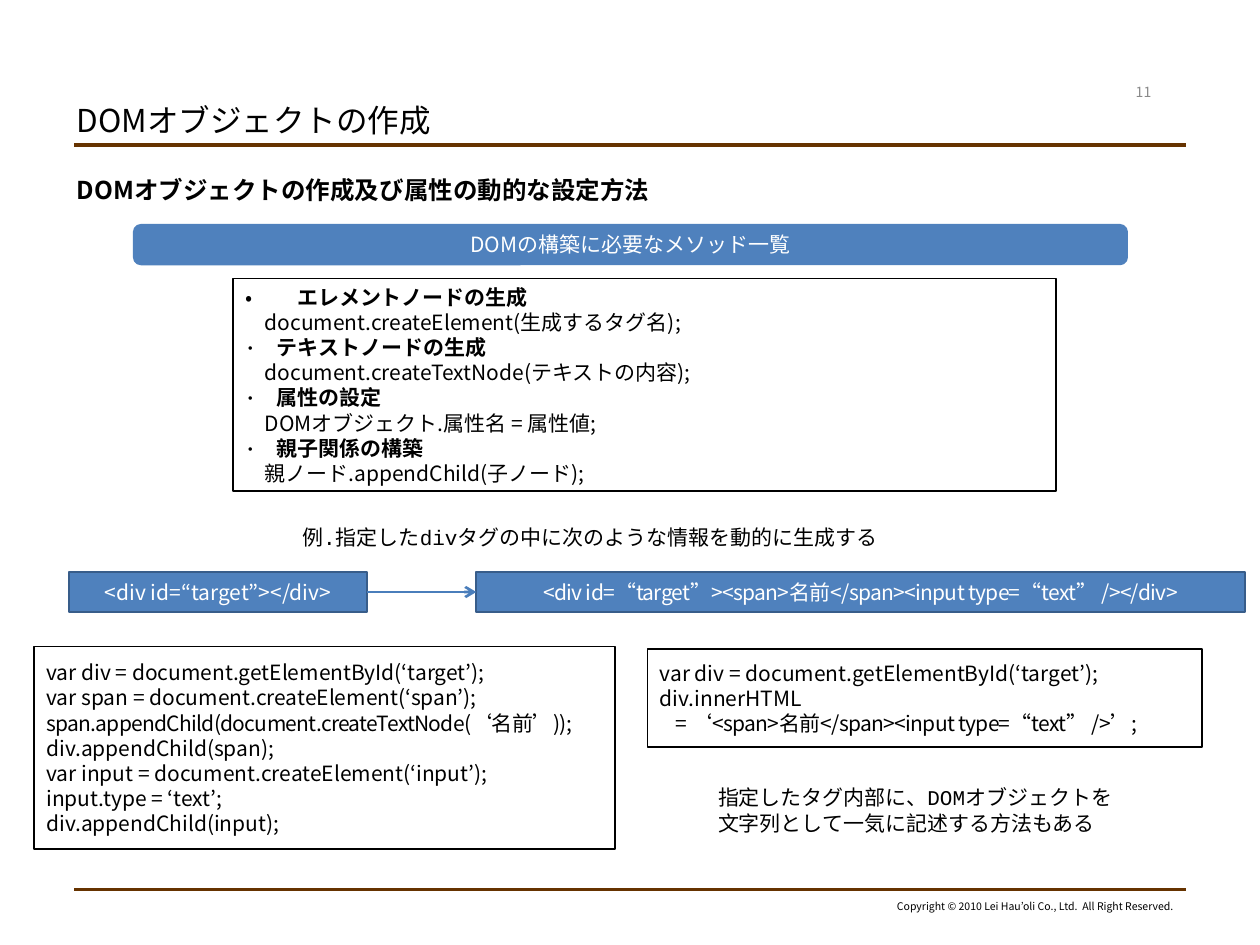
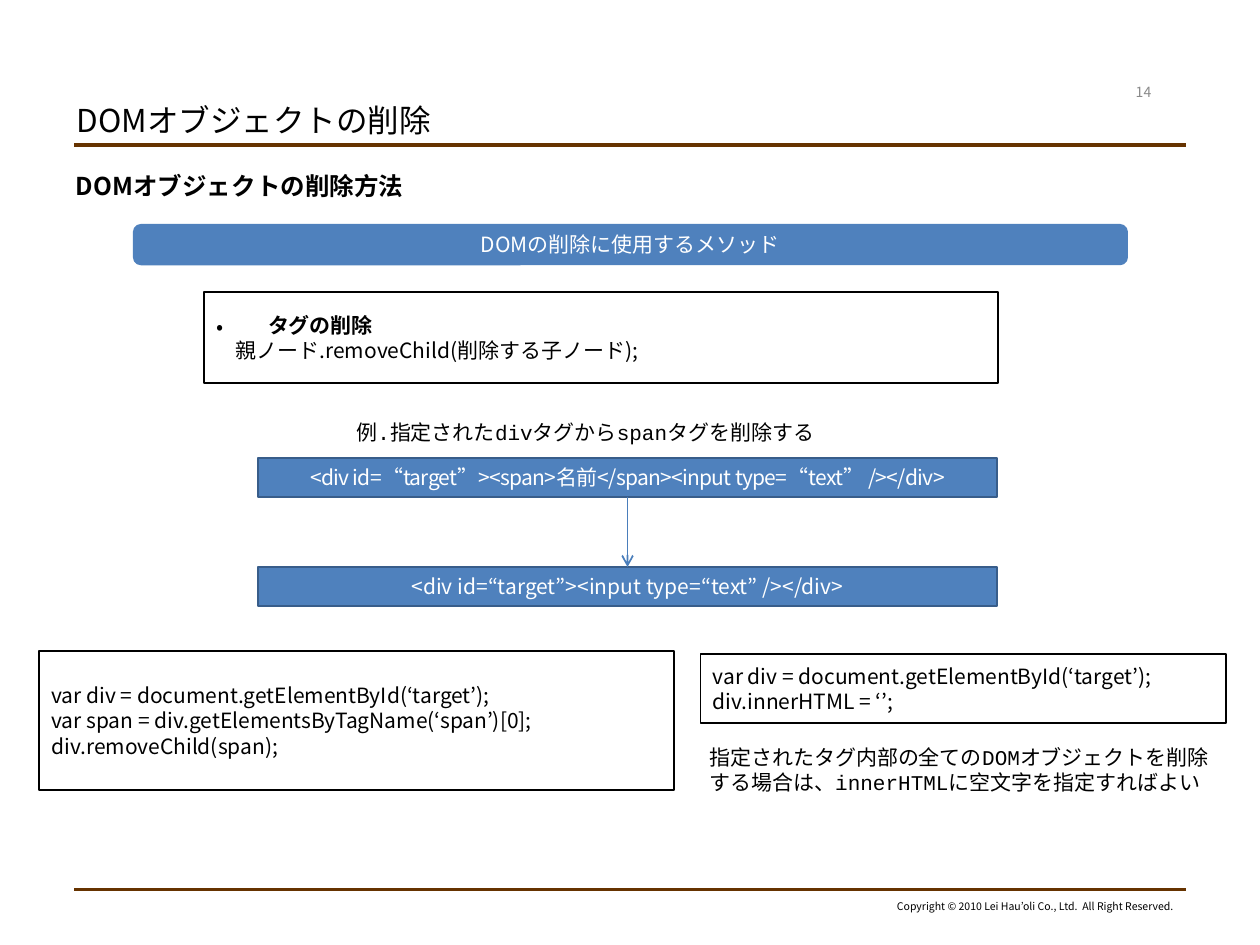
from dataclasses import dataclass

from lxml import etree
from pptx import Presentation
from pptx.dml.color import RGBColor
from pptx.enum import shapes, text
from pptx.oxml import ns
from pptx.util import Pt


@dataclass(frozen=True)
class Theme:
    font: str = "Noto Sans CJK JP"
    note_font: str = "Courier New"
    ink: str = "000000"
    paper: str = "FFFFFF"
    grey: str = "898989"
    rule: str = "663300"
    blue: str = "4F81BD"
    blue_edge: str = "385D8A"
    arrow: str = "4A7EBB"
    title_size: int = 18
    heading_size: int = 14
    body_size: int = 12
    page_size: int = 8
    copyright_size: int = 6
    leading: float = 1.2
    tight: int = -40  # letter spacing in hundredths of a point


THEME = Theme()
LEFT = text.PP_ALIGN.LEFT
CENTER = text.PP_ALIGN.CENTER
RIGHT = text.PP_ALIGN.RIGHT
TOP = text.MSO_ANCHOR.TOP
MIDDLE = text.MSO_ANCHOR.MIDDLE
COPYRIGHT = "Copyright © 2010 Lei Hau’oli Co., Ltd.  All Right Reserved."
NAME = "名前"


def add_child(parent, tag, **attributes):
    return etree.SubElement(parent, ns.qn(tag), attributes)


def indent(para, margin, bullet=None):
    """Indent a paragraph; a bullet hangs in the margin."""
    properties = para._p.get_or_add_pPr()
    properties.set("marL", str(Pt(margin)))
    if bullet:
        properties.set("indent", str(-Pt(margin)))
        add_child(properties, "a:buFont", typeface=THEME.font)
        add_child(properties, "a:buChar", char=bullet)


def write(shape, lines, size=THEME.body_size, color=THEME.ink, font=THEME.font,
          bold=False, align=LEFT, anchor=MIDDLE, wrap=True):
    """Fill a shape with one paragraph per line and return the paragraphs."""
    frame = shape.text_frame
    frame.word_wrap = wrap
    frame.auto_size = text.MSO_AUTO_SIZE.NONE
    frame.vertical_anchor = anchor
    for number, line in enumerate(lines):
        para = frame.paragraphs[0] if number == 0 else frame.add_paragraph()
        para.alignment = align
        para.line_spacing = Pt(size * THEME.leading)
        para.space_before = Pt(0)
        span = para.add_run()
        span.text = line
        span.font.size = Pt(size)
        span.font.bold = bold
        span.font.name = font
        span.font.color.rgb = RGBColor.from_string(color)
        properties = span._r.get_or_add_rPr()
        add_child(properties, "a:ea", typeface=THEME.font)
        if NAME in line:  # quotes beside Japanese text are drawn full width
            properties.set("spc", str(THEME.tight))
    return frame.paragraphs


class SlideBuilder:
    def __init__(self, deck, theme=THEME):
        self.deck = deck
        self.theme = theme
        self.slide = None

    def start(self, title, number):
        """Add a slide with its title, rules, page number and copyright line."""
        theme = self.theme
        self.slide = self.deck.slides.add_slide(self.deck.slide_layouts[5])
        for y in (82.8, 508.3):
            self.line((42.5, y), (677.5, y), theme.rule, 2.25)
        heading = self.slide.shapes.title
        heading.left, heading.top, heading.width, heading.height = map(
            Pt, (36.7, 54.7, 409, 28))
        write(heading, [title], size=theme.title_size)
        self.label((503.3, 510.5, 174.2, 14.4), [COPYRIGHT],
                   size=theme.copyright_size, align=RIGHT, wrap=False)
        self.label((632.2, 44, 42.5, 17.3), [str(number)], size=theme.page_size,
                   color=theme.grey, align=CENTER, anchor=MIDDLE)

    def label(self, place, lines, anchor=TOP, **style):
        box = self.slide.shapes.add_textbox(*map(Pt, place))
        return write(box, lines, anchor=anchor, **style)

    def heading(self, left, top, line):
        self.label((left, top, 648, 26), [line], bold=True,
                   size=self.theme.heading_size)

    def note(self, place, *lines):
        self.label(place, lines, font=self.theme.note_font, wrap=False)

    def box(self, place, lines, fill=None, edge=THEME.ink, weight=1,
            kind=shapes.MSO_SHAPE.RECTANGLE, **style):
        shape = self.slide.shapes.add_shape(kind, *map(Pt, place))
        shape.shadow.inherit = False
        if fill:
            shape.fill.solid()
            shape.fill.fore_color.rgb = RGBColor.from_string(fill)
        else:
            shape.fill.background()
        shape.line.color.rgb = RGBColor.from_string(edge)
        shape.line.width = Pt(weight)
        write(shape, lines, **style)
        return shape

    def code(self, place, *lines):
        self.box(place, lines).text_frame.margin_right = Pt(0)

    def banner(self, line):
        self.box((77, 129, 566.6, 21.6), [line], fill=self.theme.blue,
                 edge=self.theme.blue, weight=2, color=self.theme.paper,
                 kind=shapes.MSO_SHAPE.ROUNDED_RECTANGLE, align=CENTER)

    def markup(self, place, line):
        return self.box(place, [line], fill=self.theme.blue, align=CENTER,
                        edge=self.theme.blue_edge, color=self.theme.paper)

    def methods(self, place, entries):
        """List pairs of a purpose (bold, bulleted) and a call (indented)."""
        box = self.box(place, [line for entry in entries for line in entry])
        for number, para in enumerate(box.text_frame.paragraphs):
            if number % 2:
                indent(para, 11)
                continue
            para.runs[0].font.bold = True
            if number == 0:
                indent(para, 29.5, "•")
            else:
                indent(para, 18, "･")

    def line(self, start, end, color, weight):
        line = self.slide.shapes.add_connector(
            shapes.MSO_CONNECTOR.STRAIGHT, *map(Pt, start + end))
        line.line.color.rgb = RGBColor.from_string(color)
        line.line.width = Pt(weight)
        add_child(line._element.spPr, "a:effectLst")
        return line

    def arrow(self, source, source_side, target, target_side, weight):
        arrow = self.line((0, 0), (0, 0), self.theme.arrow, weight)
        arrow.begin_connect(source, source_side)
        arrow.end_connect(target, target_side)
        add_child(arrow.line._get_or_add_ln(), "a:tailEnd", type="arrow")


FIND_TARGET = "var div = document.getElementById(‘target’);"
FULL_MARKUP = f"<div id=“target”><span>{NAME}</span><input type=“text” /></div>"


def build_creation(page):
    page.start("DOMオブジェクトの作成", 11)
    page.heading(36.7, 96.5, "DOMオブジェクトの作成及び属性の動的な設定方法")
    page.banner("DOMの構築に必要なメソッド一覧")
    page.methods((133.2, 159.1, 470.2, 121.7), [
        ("エレメントノードの生成", "document.createElement(生成するタグ名);"),
        ("テキストノードの生成", "document.createTextNode(テキストの内容);"),
        ("属性の設定", "DOMオブジェクト.属性名 = 属性値;"),
        ("親子関係の構築", "親ノード.appendChild(子ノード);"),
    ])
    page.note((165.6, 296, 354.2, 21.6),
              "例.指定したdivタグの中に次のような情報を動的に生成する")
    before = page.markup((39.6, 327, 170, 22.6), "<div id=“target”></div>")
    after = page.markup((272.2, 327, 439.2, 22.6), FULL_MARKUP)
    page.arrow(before, 3, after, 1, 1.5)
    page.code((19.4, 369.4, 332, 116),
              FIND_TARGET,
              "var span = document.createElement(‘span’);",
              f"span.appendChild(document.createTextNode(‘{NAME}’));",
              "div.appendChild(span);",
              "var input = document.createElement(‘input’);",
              "input.type = ‘text’;",
              "div.appendChild(input);")
    page.code((370, 370.8, 316.8, 56.2),
              FIND_TARGET,
              "div.innerHTML",
              f"    = ‘<span>{NAME}</span><input type=“text” />’;")
    page.note((403.2, 445, 245.5, 36),
              "指定したタグ内部に、DOMオブジェクトを",
              "文字列として一気に記述する方法もある")


def build_removal(page):
    page.start("DOMオブジェクトの削除", 14)
    page.heading(36.3, 94.3, "DOMオブジェクトの削除方法")
    page.banner("DOMの削除に使用するメソッド")
    page.methods((116.6, 167, 453.6, 51.8), [
        ("タグの削除", "親ノード.removeChild(削除する子ノード);"),
    ])
    page.note((196.6, 236.2, 293, 21.6),
              "例.指定されたdivタグからspanタグを削除する")
    before = page.markup((147.6, 261.6, 422, 22.3), FULL_MARKUP)
    after = page.markup((147.6, 324, 422, 22.3),
                        "<div id=“target”><input type=“text” /></div>")
    page.arrow(before, 2, after, 0, 1)
    page.code((22.3, 372.2, 363, 79.2),
              FIND_TARGET,
              "var span = div.getElementsByTagName(‘span’)[0];",
              "div.removeChild(span);")
    page.code((400.3, 373.7, 300.2, 39.6), FIND_TARGET, "div.innerHTML = ‘’;")
    page.note((398.2, 422, 305.3, 36),
              "指定されたタグ内部の全てのDOMオブジェクトを削除",
              "する場合は、innerHTMLに空文字を指定すればよい")


def main():
    deck = Presentation()
    deck.slide_width, deck.slide_height = Pt(720), Pt(540)
    page = SlideBuilder(deck)
    build_creation(page)
    build_removal(page)
    deck.save("out.pptx")


if __name__ == "__main__":
    main()
